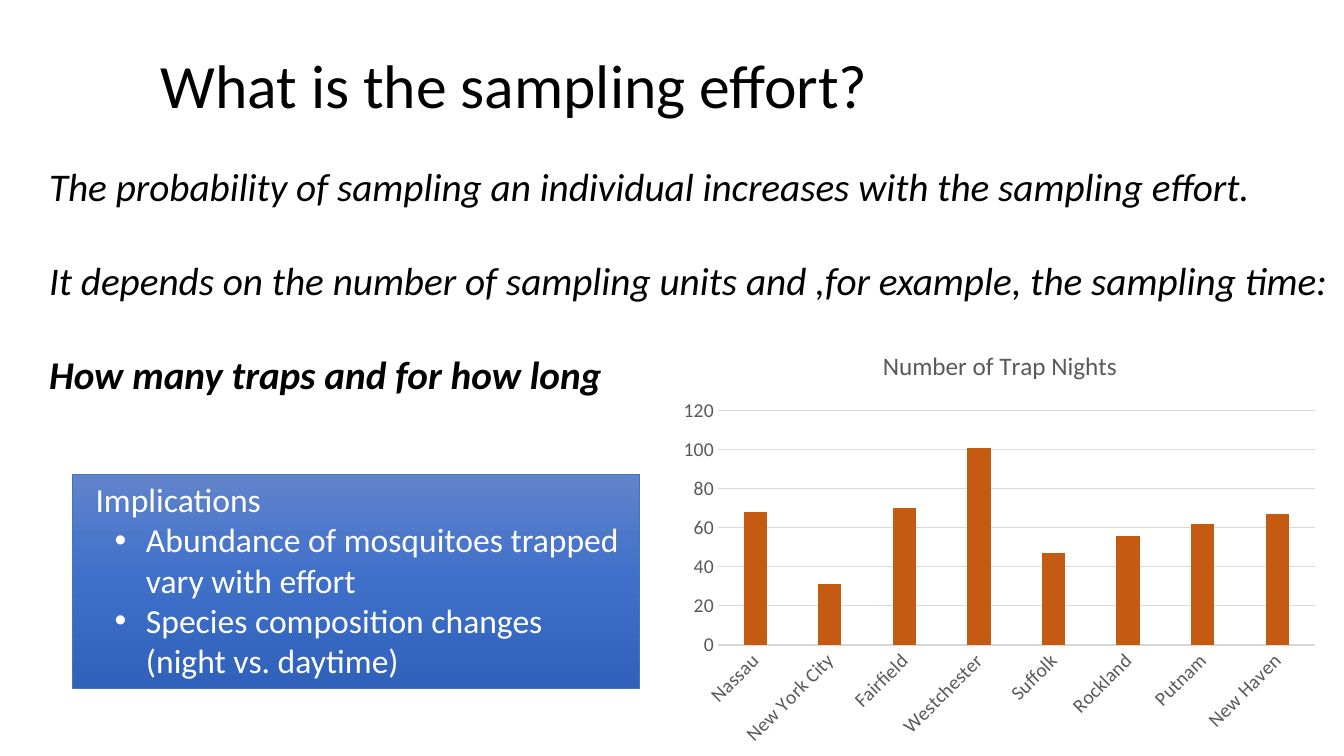
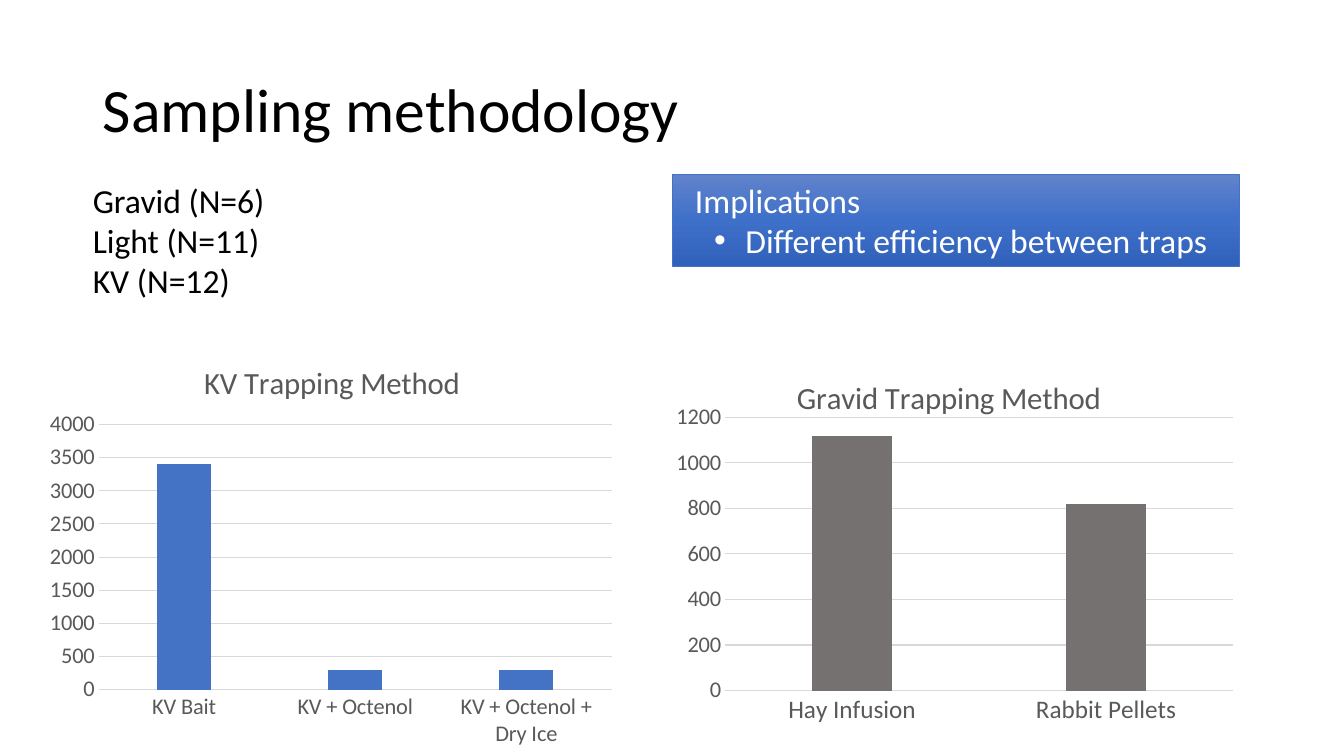
from copy import deepcopy
from lxml import etree
from pptx import Presentation
from pptx.chart.data import CategoryChartData
from pptx.dml.color import RGBColor
from pptx.enum.chart import XL_CHART_TYPE, XL_TICK_MARK
from pptx.enum.shapes import MSO_SHAPE
from pptx.enum.text import MSO_ANCHOR, MSO_AUTO_SIZE, PP_ALIGN
from pptx.oxml import parse_xml
from pptx.oxml.ns import nsdecls, qn
from pptx.util import Inches, Pt

COLUMN = XL_CHART_TYPE.COLUMN_CLUSTERED
NO_TICK = XL_TICK_MARK.NONE
RECT = MSO_SHAPE.RECTANGLE
MIDDLE, TOP = MSO_ANCHOR.MIDDLE, MSO_ANCHOR.TOP
FIXED = MSO_AUTO_SIZE.NONE
LEFT = PP_ALIGN.LEFT

BLACK = RGBColor(0x00, 0x00, 0x00)
WHITE = RGBColor(0xFF, 0xFF, 0xFF)
GREY = RGBColor(0x59, 0x59, 0x59)
PALE = RGBColor(0xD9, 0xD9, 0xD9)
BLUE = RGBColor(0x44, 0x72, 0xC4)
RUST = RGBColor(0xC5, 0x5A, 0x11)
STONE = RGBColor(0x76, 0x71, 0x71)
SHADES = [RGBColor(0x61, 0x83, 0xCB), RGBColor(0x3E, 0x70, 0xCA),
          RGBColor(0x30, 0x62, 0xBB)]
FONT = "Calibri"

deck = Presentation()
deck.slide_width, deck.slide_height = Inches(13.33), Inches(7.5)
COL, ROW = deck.slide_width / 100, deck.slide_height / 100


def spot(left, top, width, height):
    return [int(left * COL), int(top * ROW), int(width * COL), int(height * ROW)]


def put(frame, lines, size, color=BLACK, anchor=TOP, italic=False, bold=(),
        bullets=(), indent=0, gap=0, pitch=1.0):
    frame.word_wrap = True
    frame.auto_size = FIXED
    frame.vertical_anchor = anchor
    for i, line in enumerate(lines):
        para = frame.paragraphs[0] if i == 0 else frame.add_paragraph()
        props = para._p.get_or_add_pPr()
        dot = line in bullets
        props.set("marL", str(Inches(0.63 if dot else indent)))
        props.set("indent", str(Inches(-0.31 if dot else 0)))
        if dot:
            etree.SubElement(props, qn("a:buFont")).set("typeface", "Arial")
            etree.SubElement(props, qn("a:buChar")).set("char", "•")
        else:
            etree.SubElement(props, qn("a:buNone"))
        para.alignment = LEFT
        para.line_spacing = pitch
        para.space_before = Pt(gap if i else 0)
        run = para.add_run()
        run.text = line
        font = run.font
        font.name, font.size, font.color.rgb = FONT, Pt(size), color
        font.italic, font.bold = italic, line in bold


ask = "How many traps and for how long"
pages = [
    dict(
        title="What is the sampling effort?", head=(11.2, 5.1, 66.3, 13.3),
        lines=["The probability of sampling an individual increases with the sampling effort.",
               "It depends on the number of sampling units and ,for example, the sampling time:",
               ask],
        body=(2.9, 20.8, 97.1, 32.8),
        style=dict(size=28, italic=True, bold=[ask], gap=33.5),
        notes=["Abundance of mosquitoes trapped vary with effort",
               "Species composition changes (night vs. daytime)"],
        box=(5.4, 62.7, 42.2, 28.3),
        charts=[dict(
            name="Number of Trap Nights", at=(50, 43.6, 48.8, 56.4),
            cats=["Nassau", "New York City", "Fairfield", "Westchester",
                  "Suffolk", "Rockland", "Putnam", "New Haven"],
            vals=[68, 31, 70, 101, 47, 56, 62, 67], fill=RUST,
            sizes=(18, 14, 14), top=120, step=20, turn=-45,
            plot=(0.07, 0.19, 0.91, 0.55))]),
    dict(
        title="Sampling methodology", head=(6.9, 5.3, 86.3, 19.3),
        lines=["Gravid (N=6)", "Light (N=11)", "KV (N=12)"],
        body=(2.4, 23.1, 50, 17.5),
        style=dict(size=24, indent=0.5),
        notes=["Different efficiency between traps"],
        box=(50, 23.1, 42.2, 12.1),
        charts=[dict(
            name="KV Trapping Method", at=(3, 45.2, 43.4, 54.8),
            cats=["KV Bait", "KV + Octenol", "KV + Octenol + Dry Ice"],
            vals=[3400, 300, 300], fill=BLUE,
            sizes=(22, 16, 16), top=4000, step=500, turn=0,
            plot=(0.1, 0.2, 0.88, 0.64)),
            dict(
            name="Gravid Trapping Method", at=(48.1, 47.3, 45, 49.5),
            cats=["Hay Infusion", "Rabbit Pellets"],
            vals=[1120, 820], fill=STONE,
            sizes=(22, 18, 16), top=1200, step=200, turn=0,
            plot=(0.13, 0.16, 0.84, 0.73))]),
]

for page in pages:
    slide = deck.slides.add_slide(deck.slide_layouts[1])
    title, body = slide.shapes.title, slide.placeholders[1]
    for item, area in ((title, page["head"]), (body, page["body"])):
        item.left, item.top, item.width, item.height = spot(*area)
    put(title.text_frame, [page["title"]], size=44, anchor=MIDDLE, pitch=0.9)
    put(body.text_frame, page["lines"], **page["style"])

    for graph in page["charts"]:
        data = CategoryChartData()
        data.categories = graph["cats"]
        data.add_series("Series 1", graph["vals"])
        chart = slide.shapes.add_chart(COLUMN, *spot(*graph["at"]), data).chart
        chart.font.name, chart.font.size = FONT, Pt(10)
        chart.has_legend = False
        chart.has_title = True
        chart.chart_title.include_in_layout = False
        head = chart.chart_title.text_frame
        head.text = graph["name"]
        cat, val = chart.category_axis, chart.value_axis
        fonts = (head.paragraphs[0].runs[0].font, cat.tick_labels.font,
                 val.tick_labels.font)
        for font, size in zip(fonts, graph["sizes"]):
            font.name, font.size, font.bold = FONT, Pt(size), False
            font.color.rgb = GREY
        for axis in (cat, val):
            axis.major_tick_mark = axis.minor_tick_mark = NO_TICK
        turn = str(graph["turn"] * 60000)
        cat._element.find(qn("c:txPr")).find(qn("a:bodyPr")).set("rot", turn)
        val.minimum_scale, val.maximum_scale = 0, graph["top"]
        val.major_unit = graph["step"]
        val.format.line.fill.background()
        for line in (cat.format.line, val.major_gridlines.format.line):
            line.color.rgb, line.width = PALE, Pt(0.75)
        plot = chart.plots[0]
        plot.gap_width, plot.overlap = 219, -27
        plot.vary_by_categories = False
        fill = plot.series[0].format.fill
        fill.solid()
        fill.fore_color.rgb = graph["fill"]
        area = chart._chartSpace.chart.plotArea
        for old in area.findall(qn("c:layout")):
            area.remove(old)
        sides = "".join(f'<c:{key} val="{num}"/>'
                        for key, num in zip("xywh", graph["plot"]))
        area.insert(0, parse_xml(
            f'<c:layout {nsdecls("c")}><c:manualLayout><c:layoutTarget val="inner"/>'
            f'<c:xMode val="edge"/><c:yMode val="edge"/>{sides}'
            '</c:manualLayout></c:layout>'))

    box = slide.shapes.add_shape(RECT, *spot(*page["box"]))
    box.shadow.inherit = False
    box.line.color.rgb, box.line.width = BLUE, Pt(0.5)
    box.fill.gradient()
    box.fill.gradient_angle = 270
    first = box.fill.gradient_stops[0]._gs
    first.addnext(deepcopy(first))
    for i, stop in enumerate(box.fill.gradient_stops):
        stop.position, stop.color.rgb = i / 2, SHADES[i]
    put(box.text_frame, ["Implications"] + page["notes"], size=24, color=WHITE,
        bullets=page["notes"], indent=0.13)

deck.save("out.pptx")
